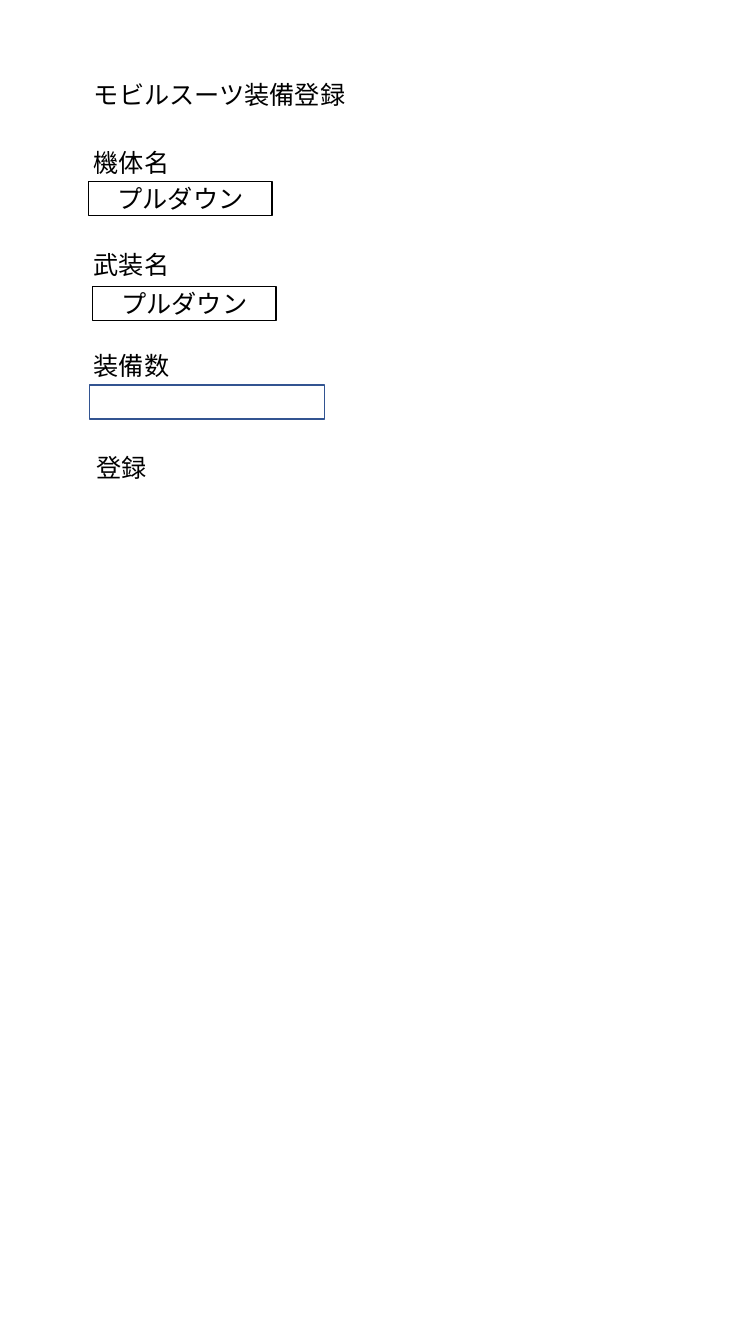
from pptx import Presentation
from pptx.dml.color import RGBColor
from pptx.enum.shapes import MSO_SHAPE
from pptx.enum.text import MSO_ANCHOR, MSO_AUTO_SIZE, PP_ALIGN
from pptx.util import Pt

RECTANGLE = MSO_SHAPE.RECTANGLE
TOP, MIDDLE = MSO_ANCHOR.TOP, MSO_ANCHOR.MIDDLE
LEFT, CENTER = PP_ALIGN.LEFT, PP_ALIGN.CENTER
NO_AUTOFIT = MSO_AUTO_SIZE.NONE

TITLE = "モビルスーツ装備登録"
FIELDS = [
    {"label": "機体名", "value": "プルダウン", "box": (63.4, 129.6, 131), "line": "000000"},
    {"label": "武装名", "value": "プルダウン", "box": (66.2, 204.5, 131), "line": "000000"},
    {"label": "装備数", "value": "", "box": (64.1, 275, 167.8), "line": "325491"},
]
BUTTON = "登録"

FONT, FONT_SIZE = "Calibri", 18
BLACK, WHITE = "000000", "FFFFFF"
LABEL_LEFT, LABEL_WIDTH, LABEL_HEIGHT = 59.8, 118, 29
TITLE_TOP, TITLE_WIDTH = 53.3, 210
FIRST_LABEL_TOP, ROW_PITCH = 101.5, 72.7
BUTTON_LEFT = 61.9
BOX_HEIGHT = 24.5


def color(value):
    """Return the colour for a hex string."""
    return RGBColor.from_string(value)


def write(shape, text, align, anchor):
    """Put one formatted line of text into a shape."""
    frame = shape.text_frame
    frame.text = text
    frame.word_wrap = True
    frame.auto_size = NO_AUTOFIT
    frame.vertical_anchor = anchor
    frame.margin_left = frame.margin_right = Pt(7.2)
    frame.margin_top = frame.margin_bottom = Pt(3.6)
    para = frame.paragraphs[0]
    para.alignment = align
    for span in para.runs:
        span.font.name = FONT
        span.font.size = Pt(FONT_SIZE)
        span.font.color.rgb = color(BLACK)


def add_label(page, text, left, top):
    """Add a left-aligned text label."""
    label = page.shapes.add_textbox(Pt(left), Pt(top), Pt(LABEL_WIDTH), Pt(LABEL_HEIGHT))
    write(label, text, LEFT, TOP)


def add_input(page, text, place, line):
    """Add an outlined input box."""
    left, top, width = place
    box = page.shapes.add_shape(RECTANGLE, Pt(left), Pt(top), Pt(width), Pt(BOX_HEIGHT))
    box.shadow.inherit = False
    box.fill.solid()
    box.fill.fore_color.rgb = color(WHITE)
    box.line.color.rgb = color(line)
    box.line.width = Pt(1)
    if text:
        write(box, text, CENTER, MIDDLE)


def main():
    """Build the registration form and save it."""
    deck = Presentation()
    deck.slide_width, deck.slide_height = Pt(540), Pt(960)
    page = deck.slides.add_slide(deck.slide_layouts.get_by_name("Title Only"))

    title = page.shapes.title
    title.left, title.top = Pt(LABEL_LEFT), Pt(TITLE_TOP)
    title.width, title.height = Pt(TITLE_WIDTH), Pt(LABEL_HEIGHT)
    write(title, TITLE, LEFT, TOP)

    for row, field in enumerate(FIELDS):
        add_label(page, field["label"], LABEL_LEFT, FIRST_LABEL_TOP + row * ROW_PITCH)
        add_input(page, field["value"], field["box"], field["line"])
    add_label(page, BUTTON, BUTTON_LEFT, FIRST_LABEL_TOP + len(FIELDS) * ROW_PITCH)

    deck.save("out.pptx")


main()
